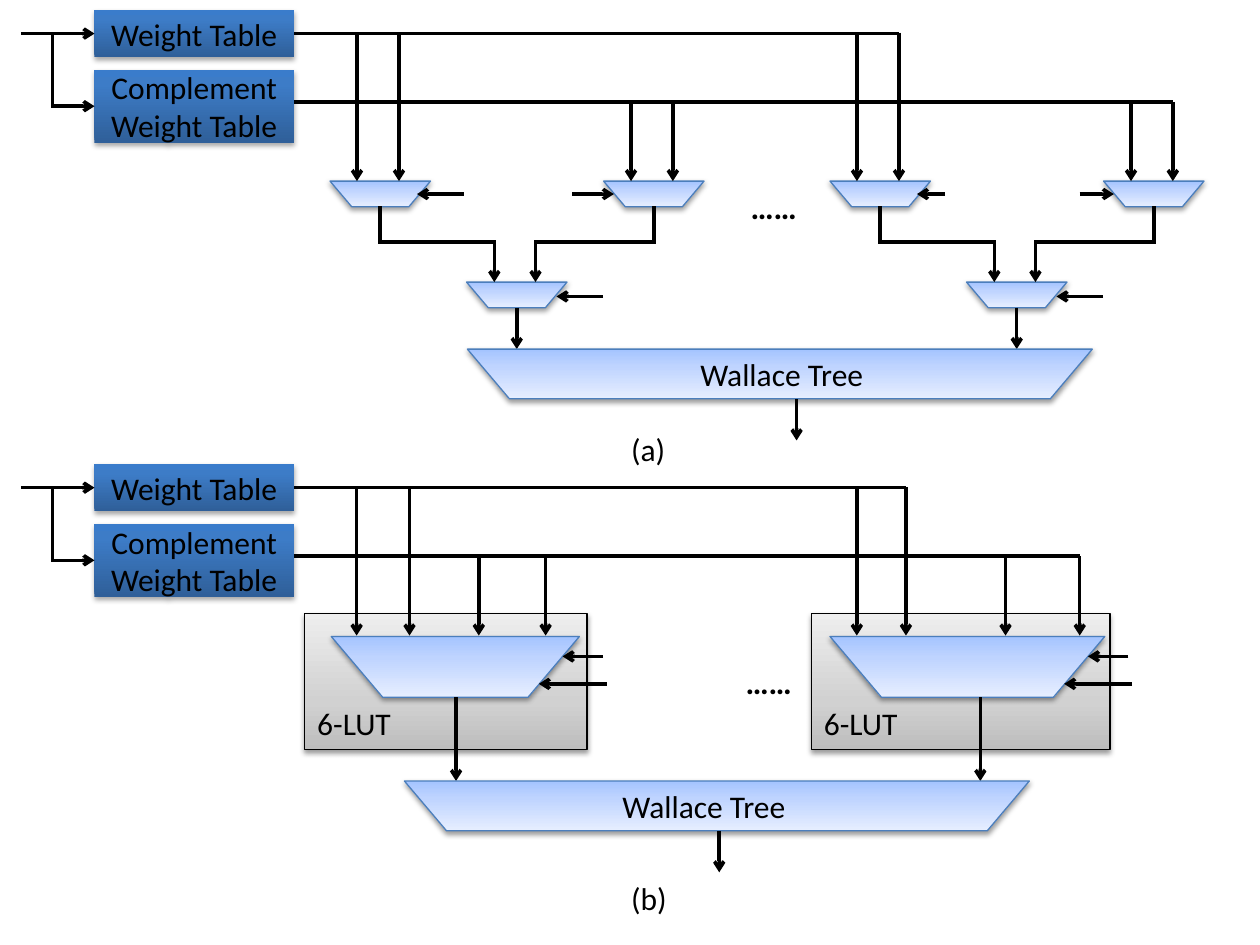
"""Draw two weight-table multiplexer datapaths, (a) and (b), on one slide."""
from dataclasses import dataclass

from lxml import etree
from pptx import Presentation
from pptx import util as u
from pptx.dml.color import RGBColor
from pptx.enum import shapes, text
from pptx.oxml.ns import qn

BLACK = "000000"
FONT = {"name": "Calibri", "size": u.Pt(18)}
DOTS = {"name": "Calibri", "size": u.Pt(32), "bold": True}
PITCH = 285.7


@dataclass(frozen=True)
class Style:
    stops: tuple
    line: str | None
    shadow: tuple


@dataclass(frozen=True)
class Panel:
    top: float
    weight_end: float
    complement_end: float
    tree_x: float
    tree_y: float
    name_x: float
    out_x: float
    dots: tuple
    label: str
    label_y: float


@dataclass(frozen=True)
class MuxTree:
    dx: float
    left_select: float
    right_select: float


@dataclass(frozen=True)
class Lut:
    x: float
    w: float
    mux_x: float
    mux_w: float
    out_x: float
    weight_drops: tuple
    complement_drops: tuple


TABLE = Style(((0, "2F5F99"), (80, "3D7CC7"), (100, "3A7CCB")), None, (35, 1.8))
MUX = Style(((0, "A4C4FF"), (35, "BFD4FF"), (100, "E6EEFF")), "4B7EBC", (38, 1.6))
GREY = Style(((0, "BDBDBD"), (35, "D1D1D1"), (100, "EEEEEE")), BLACK, (38, 1.6))

PANELS = (
    Panel(0, 513.5, 670.3, 267.1, 199.5, 393.1, 455.2, (402.5, 82.1), "(a)", 242),
    Panel(259.5, 518, 617, 231.1, 446.3, 348.6, 411, (399.6, 353.5), "(b)", 499),
)
TREES = (MuxTree(0, 26.7, 23.8), MuxTree(PITCH, 16, 19.5))
LUTS = (
    Lut(174.2, 161.3, 189.3, 141.8, 260.6, (203.8, 234), (273.6, 311.8)),
    Lut(463.7, 170.6, 474.3, 157, 560.2, (489.6, 517.7), (574.6, 617)),
)


def color(value: str) -> RGBColor:
    """Turn a hex string into a colour."""
    return RGBColor.from_string(value)


def add_color(parent, value: str):
    """Append a colour element and return it."""
    return etree.SubElement(parent, qn("a:srgbClr"), val=value)


def write(sp, words: str, fmt: dict, align=None):
    """Put one formatted run into a shape and return it."""
    p = sp.text_frame.paragraphs[0]
    p.alignment = align
    r = p.add_run()
    r.text = words
    for key, value in fmt.items():
        setattr(r.font, key, value)
    r.font.color.rgb = color(BLACK)
    return r


def add_block(s, kind, x: float, y: float, w: float, h: float, style: Style):
    """Add a shape with a gradient fill and a soft shadow below it."""
    sp = s.shapes.add_shape(kind, u.Pt(x), u.Pt(y), u.Pt(w), u.Pt(h))
    sp.fill.gradient()
    sp.fill.gradient_angle = 90
    stops = sp._element.spPr.find(".//" + qn("a:gsLst"))
    for old in list(stops):
        stops.remove(old)
    for pos, value in style.stops:
        add_color(etree.SubElement(stops, qn("a:gs"), pos=str(pos * 1000)), value)
    if style.line:
        sp.line.color.rgb = color(style.line)
        sp.line.width = u.Pt(0.75)
    else:
        sp.line.fill.background()
    sp.shadow.inherit = False
    alpha, dist = style.shadow
    effects = sp._element.spPr.find(qn("a:effectLst"))
    shadow = etree.SubElement(
        effects, qn("a:outerShdw"), blurRad=str(u.Pt(3.1)), dist=str(u.Pt(dist)),
        dir="5400000", rotWithShape="0")
    etree.SubElement(add_color(shadow, BLACK), qn("a:alpha"), val=str(alpha * 1000))
    return sp


def add_mux(s, x: float, y: float, w: float, h: float):
    """Add a trapezoid with its wide side on top."""
    sp = add_block(s, shapes.MSO_SHAPE.TRAPEZOID, x, y, w, h, MUX)
    sp.adjustments[0] = 0.846
    sp.rotation = 180
    return sp


def add_wire(s, x1: float, y1: float, x2: float, y2: float, arrow: bool = True):
    """Add a black wire, with an arrowhead at its end if asked."""
    c = s.shapes.add_connector(
        shapes.MSO_CONNECTOR.STRAIGHT, u.Pt(x1), u.Pt(y1), u.Pt(x2), u.Pt(y2))
    c.line.color.rgb = color(BLACK)
    c.line.width = u.Pt(2)
    if arrow:
        etree.SubElement(c.line._get_or_add_ln(), qn("a:tailEnd"), type="arrow")
    etree.SubElement(c._element.spPr, qn("a:effectLst"))
    return c


def add_label(s, x: float, y: float, w: float, h: float, words: str,
              fmt: dict = FONT, align=None):
    """Add a text box that grows with its text and return its run."""
    sp = s.shapes.add_textbox(u.Pt(x), u.Pt(y), u.Pt(w), u.Pt(h))
    sp.text_frame.word_wrap = True
    sp.text_frame.auto_size = text.MSO_AUTO_SIZE.SHAPE_TO_FIT_TEXT
    return write(sp, words, fmt, align)


def draw_panel(s, panel: Panel):
    """Draw the tables, buses, adder tree and labels of a panel."""
    y1, y2 = panel.top + 19.2, panel.top + 60.7
    tables = []
    for y, h, words in ((5.8, 26.8, "Weight Table"), (39.9, 41.6, "Complement Weight Table")):
        sp = add_block(s, shapes.MSO_SHAPE.RECTANGLE, 54, panel.top + y, 114, h, TABLE)
        sp.text_frame.vertical_anchor = text.MSO_ANCHOR.MIDDLE
        write(sp, words, FONT, text.PP_ALIGN.CENTER)
        tables.append(sp)
    add_wire(s, 12, y1, 54, y1).end_connect(tables[0], 1)
    add_wire(s, 30, y1, 30, y2 + 1, False)
    add_wire(s, 30, y2, 54, y2).end_connect(tables[1], 1)
    add_wire(s, 168, y1, panel.weight_end, y1, False).begin_connect(tables[0], 3)
    add_wire(s, 168, panel.top + 58.3, panel.complement_end, panel.top + 58.3, False)
    add_mux(s, panel.tree_x, panel.tree_y, 357.1, 28.4)
    add_label(s, panel.name_x, panel.tree_y - 0.3, 124.6, 28.8, "Wallace Tree")
    add_wire(s, panel.out_x, panel.tree_y + 28.4, panel.out_x, panel.tree_y + 52.2)
    r = add_label(s, *panel.dots, 79.2, 33.1, "……", DOTS, text.PP_ALIGN.CENTER)
    r._r.get_or_add_rPr().set("baseline", "-25000")
    add_label(s, 353.5, panel.label_y, 39.6, 28.8, panel.label)


def draw_drops(s, top: float, weights, complements, bottom: float):
    """Drop arrows from the two buses of a panel."""
    for bus, xs in ((18.7, weights), (58.3, complements)):
        for x in xs:
            add_wire(s, x, top + bus, x, bottom)


def draw_mux_tree(s, tree: MuxTree):
    """Draw two multiplexers feeding a third one."""
    dx = tree.dx
    for x, y in ((188.6, 103.5), (344.9, 103.5), (266.6, 161.2)):
        add_mux(s, x + dx, y, 57.4, 14.6)
    draw_drops(s, 0, (204 + dx, 228 + dx), (360.6 + dx, 384.5 + dx), 103.5)
    for x, entry in ((217.3, 282.5), (373.6, 306)):
        add_wire(s, x + dx, 118, x + dx, 139.2, False)
        add_wire(s, x + dx, 138.2, entry + dx, 138.2, False)
        add_wire(s, entry + dx, 137.2, entry + dx, 161.2)
    for tip, y, run in ((238.3, 110.9, tree.left_select),
                        (350.8, 110.9, -tree.right_select), (318, 169.4, 26.7)):
        add_wire(s, tip + dx + run, y, tip + dx, y)
    add_wire(s, 295.3 + dx, 175.8, 295.3 + dx, 199.5)


def draw_lut(s, lut: Lut):
    """Draw a lookup table holding one four-input multiplexer."""
    add_block(s, shapes.MSO_SHAPE.RECTANGLE, lut.x, 350.5, lut.w, 77.8, GREY)
    add_mux(s, lut.mux_x, 363.7, lut.mux_w, 34.7)
    right = lut.mux_x + lut.mux_w
    for start, tip, y in ((13.5, -9.6, 375.1), (15.6, -23.2, 390.8)):
        add_wire(s, right + start, y, right + tip, y)
    draw_drops(s, PANELS[1].top, lut.weight_drops, lut.complement_drops, 363.2)
    add_label(s, lut.x, 398.5, 59.8, 28.8, "6-LUT")
    add_wire(s, lut.out_x, 398.4, lut.out_x, 446.3)


def main():
    """Build the slide and save it."""
    prs = Presentation()
    prs.slide_width, prs.slide_height = u.Pt(720), u.Pt(540)
    s = prs.slides.add_slide(prs.slide_layouts[6])
    for draw, items in ((draw_lut, LUTS), (draw_mux_tree, TREES), (draw_panel, PANELS)):
        for item in items:
            draw(s, item)
    prs.save("out.pptx")


if __name__ == "__main__":
    main()
